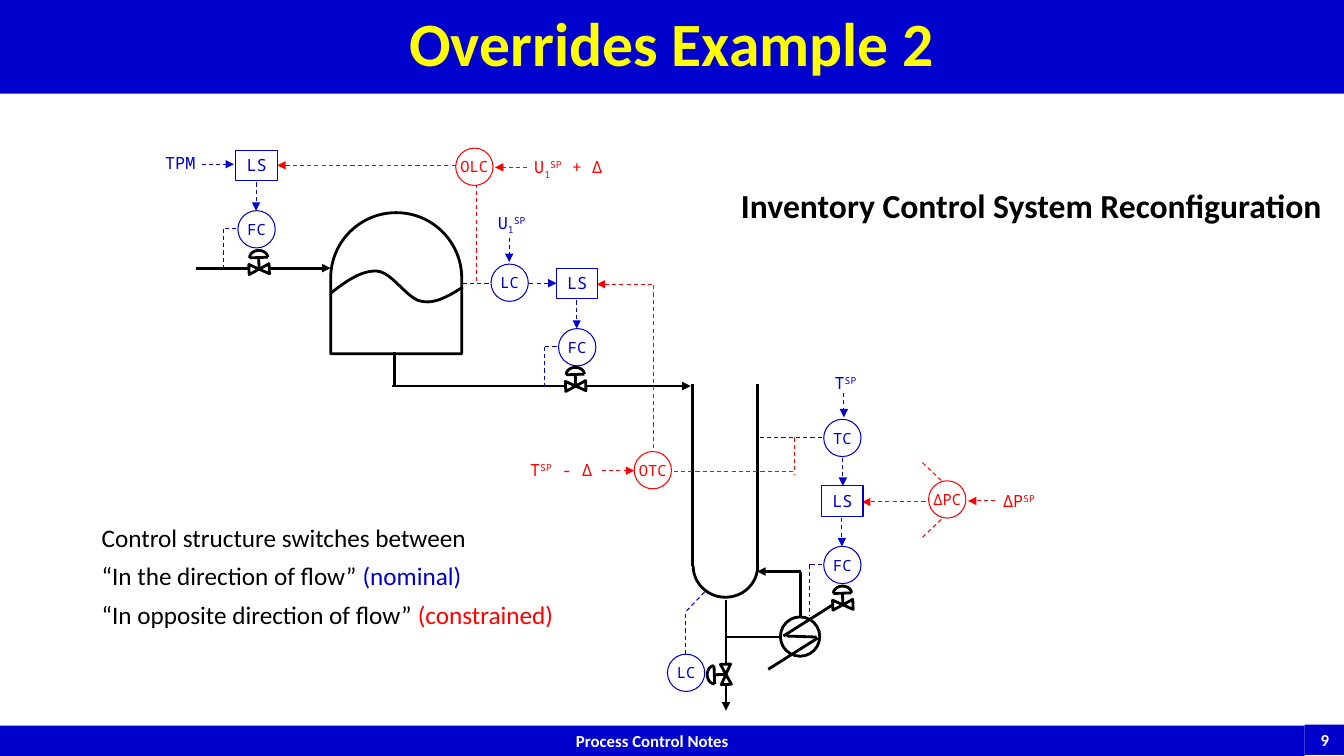
import dataclasses
import math

import lxml.etree
import pptx
import pptx.dml.color
import pptx.enum.dml
import pptx.enum.shapes
import pptx.enum.text
import pptx.oxml.ns
import pptx.util

Inches = pptx.util.Inches
RGBColor = pptx.dml.color.RGBColor
Shape = pptx.enum.shapes.MSO_SHAPE
Align = pptx.enum.text.PP_ALIGN
Anchor = pptx.enum.text.MSO_ANCHOR


@dataclasses.dataclass(frozen=True)
class Theme:
    """Colours, fonts and sizes of the slide."""
    nominal: RGBColor = RGBColor(0x00, 0x00, 0xCC)
    constrained: RGBColor = RGBColor(0xFF, 0x00, 0x00)
    process: RGBColor = RGBColor(0x00, 0x00, 0x00)
    title: RGBColor = RGBColor(0xFF, 0xFF, 0x00)
    white: RGBColor = RGBColor(0xFF, 0xFF, 0xFF)
    text_font: str = "Calibri"
    tag_font: str = "Noto Sans Mono"
    title_size: int = 44
    heading_size: int = 24
    body_size: int = 18
    label_size: int = 12
    bubble_size: int = 11
    pipe_width: float = 2
    signal_width: float = 0.75


theme = Theme()
presentation = pptx.Presentation()
presentation.slide_width = Inches(13.33)
presentation.slide_height = Inches(7.5)
slide = presentation.slides.add_slide(presentation.slide_layouts[5])
shapes = slide.shapes


def write_runs(paragraph, runs, size, font=theme.tag_font, bold=False):
    """Fill a paragraph with (text, colour, baseline percent) runs."""
    for text, color, baseline in runs:
        run = paragraph.add_run()
        run.text = text
        run.font.size = pptx.util.Pt(size)
        run.font.name = font
        run.font.bold = bold
        run.font.color.rgb = color
        if baseline:
            run._r.get_or_add_rPr().set("baseline", str(baseline * 1000))


def draw_line(x1, y1, x2, y2, color=theme.process, arrow=False):
    """Draw a solid pipe or, in a signal colour, a thin dashed line."""
    connector = shapes.add_connector(pptx.enum.shapes.MSO_CONNECTOR.STRAIGHT,
                                     *map(Inches, (x1, y1, x2, y2)))
    is_pipe = color == theme.process
    connector.line.color.rgb = color
    connector.line.width = pptx.util.Pt(theme.pipe_width if is_pipe else theme.signal_width)
    if not is_pipe:
        connector.line.dash_style = pptx.enum.dml.MSO_LINE.DASH
    properties = connector._element.spPr
    if arrow:
        outline = properties.find(pptx.oxml.ns.qn("a:ln"))
        lxml.etree.SubElement(outline, pptx.oxml.ns.qn("a:tailEnd"), type="triangle")
    lxml.etree.SubElement(properties, pptx.oxml.ns.qn("a:effectLst"))


# Title and footer bars
title = shapes.title
title.left, title.top, title.width, title.height = map(Inches, (0, 0, 13.33, 0.93))
footer = shapes.add_shape(Shape.RECTANGLE, *map(Inches, (0, 7.2, 12.94, 0.3)))
page_number = shapes.add_shape(Shape.RECTANGLE, *map(Inches, (12.94, 7.19, 0.4, 0.3)))
for bar, text, size, color in [
    (title, "Overrides Example 2", theme.title_size, theme.title),
    (footer, "Process Control Notes", theme.label_size, theme.white),
    (page_number, "9", theme.label_size, theme.white),
]:
    bar.fill.solid()
    bar.fill.fore_color.rgb = theme.nominal
    bar.line.fill.background()
    bar.text_frame.vertical_anchor = Anchor.MIDDLE
    paragraph = bar.text_frame.paragraphs[0]
    paragraph.alignment = Align.CENTER
    write_runs(paragraph, [(text, color, 0)], size, theme.text_font, True)
    if bar is not title:
        bar.shadow.inherit = False
title.text_frame.paragraphs[0].line_spacing = 0.9

# Vessel, column and reboiler
for kind, box, rotation, adjustments in [
    (Shape.LEFT_BRACKET, (7.04, 5.45, 0.31, 0.64), 270, [1.6]),
    (Shape.OVAL, (7.74, 6.12, 0.39, 0.39), 0, []),
    (Shape.ROUND_2_SAME_RECTANGLE, (3.28, 2.11, 1.3, 1.4), 0, [0.5, 0]),
]:
    vessel = shapes.add_shape(kind, *map(Inches, box))
    vessel.rotation = rotation
    for index, value in enumerate(adjustments):
        vessel.adjustments[index] = value
    vessel.fill.background()
    vessel.line.color.rgb = theme.process
    vessel.line.width = pptx.util.Pt(theme.pipe_width)
    vessel.shadow.inherit = False

for pipe in [
    (6.87, 5.62, 6.87, 3.81), (7.51, 5.62, 7.51, 3.81),
    (8.26, 6, 7.77, 6.31), (7.8, 6.31, 8.1, 6.32), (8.11, 6.33, 7.62, 6.64),
    (7.19, 6.32, 7.74, 6.32), (7.94, 6.12, 7.94, 5.67), (3.91, 3.83, 3.91, 3.49),
]:
    draw_line(*pipe)
for flow in [
    (7.2, 5.95, 7.2, 7.05), (7.94, 5.67, 7.51, 5.67),
    (3.89, 3.83, 6.85, 3.83), (1.94, 2.66, 3.28, 2.66),
]:
    draw_line(*flow, arrow=True)

# Liquid surface, sampled from three cubic arcs
curves = [[]]
for arc in [
    ((3.28, 2.91), (3.43, 2.79), (3.59, 2.68), (3.74, 2.69)),
    ((3.74, 2.69), (3.89, 2.7), (4.04, 2.97), (4.18, 2.99)),
    ((4.18, 2.99), (4.32, 3.02), (4.46, 2.93), (4.59, 2.85)),
]:
    for t in [step / 12 for step in range(13)]:
        weights = [math.comb(3, k) * t**k * (1 - t)**(3 - k) for k in range(4)]
        curves[0].append([sum(w * p[axis] for w, p in zip(weights, arc)) for axis in (0, 1)])

# Control valves: two triangles, a stem, a bar and a dome turned about the centre
dome = [(-0.09 * math.cos(math.pi * step / 16), -0.115 - 0.07 * math.sin(math.pi * step / 16))
        for step in range(17)]
for x, y, turn in [(8.36, 6, -2.2), (7.2, 6.69, -92.2), (5.71, 3.83, -2.2), (2.57, 2.67, -2.2)]:
    cosine, sine = math.cos(math.radians(turn)), math.sin(math.radians(turn))
    for offset, rotation in [(-0.05, 270), (0.05, 90)]:
        triangle = shapes.add_shape(
            Shape.FLOWCHART_MERGE, Inches(x + offset * cosine - 0.05),
            Inches(y + offset * sine - 0.05), Inches(0.1), Inches(0.1))
        triangle.rotation = (rotation + turn) % 360
        triangle.fill.solid()
        triangle.fill.fore_color.rgb = theme.white
        triangle.line.color.rgb = theme.process
        triangle.line.width = pptx.util.Pt(theme.pipe_width)
        triangle.shadow.inherit = False
    stem_and_bar = [(0, 0), (0, -0.115), (-0.09, -0.115), (0.09, -0.115)]
    points = [(x + a * cosine - b * sine, y + a * sine + b * cosine)
              for a, b in stem_and_bar + dome]
    draw_line(*points[0], *points[1])
    draw_line(*points[2], *points[3])
    curves.append(points[4:])

for curve in curves:
    vertices = [(Inches(x), Inches(y)) for x, y in curve]
    builder = shapes.build_freeform(*vertices[0])
    builder.add_line_segments(vertices[1:], close=False)
    outline = builder.convert_to_shape()
    outline.fill.background()
    outline.line.color.rgb = theme.process
    outline.line.width = pptx.util.Pt(theme.pipe_width)
    outline.shadow.inherit = False

# Signals and instruments; each low selector drives the flow controller below it
blue, red = theme.nominal, theme.constrained
signals = [
    (6.8, 6.49, 6.8, 6.06, blue, False), (6.81, 6.06, 7, 5.86, blue, False),
    (2, 1.63, 2.32, 1.63, blue, True), (5.25, 2.81, 5.52, 2.81, blue, True),
    (4.59, 2.81, 4.87, 2.81, blue, False), (5.05, 2.36, 5.05, 2.6, blue, True),
    (8.15, 4.34, 7.52, 4.34, blue, False), (8.37, 3.9, 8.37, 4.14, blue, True),
    (8.36, 4.54, 8.36, 4.82, blue, True),
    (4.73, 1.82, 4.73, 2.81, red, False), (4.52, 1.64, 2.75, 1.64, red, True),
    (5.23, 1.66, 4.91, 1.66, red, True), (5.97, 4.67, 6.29, 4.67, red, True),
    (7.87, 4.68, 6.65, 4.68, red, False), (7.88, 4.34, 7.88, 4.7, red, False),
    (6.48, 2.83, 6.48, 4.48, red, False), (6.47, 2.82, 5.92, 2.82, red, True),
    (9.15, 5.33, 9.35, 5.14, red, False), (9.15, 4.59, 9.35, 4.78, red, False),
    (9.18, 4.98, 8.55, 4.98, red, True), (9.87, 4.97, 9.6, 4.97, red, True),
]
instruments = [
    ("LC", 6.62, 6.49, blue), ("LC", 4.87, 2.62, blue), ("TC", 8.17, 4.16, blue),
    ("OLC", 4.52, 1.47, red), ("OTC", 6.29, 4.48, red), ("ΔPC", 9.21, 4.77, red),
]
for x, y, pipe_y in [(2.34, 1.49, 2.67), (5.52, 2.66, 3.82), (8.15, 4.82, 6.11)]:
    signals += [(x + 0.2, y + 0.32, x + 0.2, y + 0.6, blue, True),
                (x, y + 0.78, x - 0.12, y + 0.78, blue, False),
                (x - 0.12, y + 0.78, x - 0.12, pipe_y, blue, False)]
    instruments += [("LS", x, y, blue), ("FC", x + 0.02, y + 0.6, blue)]
for signal in signals:
    draw_line(*signal)
for tag, x, y, color in instruments:
    is_selector = tag == "LS"
    kind, width, height = (Shape.RECTANGLE, 0.41, 0.3) if is_selector else (Shape.OVAL, 0.37, 0.37)
    instrument = shapes.add_shape(kind, *map(Inches, (x, y, width, height)))
    instrument.fill.solid()
    instrument.fill.fore_color.rgb = theme.white
    instrument.line.color.rgb = color
    instrument.line.width = pptx.util.Pt(theme.signal_width)
    instrument.shadow.inherit = False
    frame = instrument.text_frame
    frame.margin_left = frame.margin_right = frame.margin_top = frame.margin_bottom = 0
    frame.word_wrap = False
    frame.vertical_anchor = Anchor.MIDDLE
    frame.paragraphs[0].alignment = Align.CENTER
    write_runs(frame.paragraphs[0], [(tag, color, 0)],
               theme.label_size if is_selector else theme.bubble_size)

# Set point labels
for x, y, width, color, parts in [
    (1.54, 1.47, 0.53, blue, [("TPM", 0)]),
    (4.84, 2.06, 0.53, blue, [("U", 0), ("1", -25), ("SP", 30)]),
    (5.2, 1.51, 0.94, red, [("U", 0), ("1", -25), ("SP", 30), (" + Δ", 0)]),
    (8.18, 3.65, 0.53, blue, [("T", 0), ("SP", 30)]),
    (5.16, 4.51, 0.94, red, [("T", 0), ("SP", 30), (" - Δ", 0)]),
    (9.85, 4.82, 0.59, red, [("ΔP", 0), ("SP", 30)]),
]:
    label = shapes.add_textbox(*map(Inches, (x, y, width, 0.3)))
    write_runs(label.text_frame.paragraphs[0],
               [(text, color, baseline) for text, baseline in parts], theme.label_size)

# Heading and explanation
heading = shapes.add_textbox(*map(Inches, (7.25, 1.79, 6.08, 0.5)))
write_runs(heading.text_frame.paragraphs[0],
           [("Inventory Control System Reconfiguration", theme.process, 0)],
           theme.heading_size, theme.text_font, True)
explanation = shapes.add_textbox(*map(Inches, (0.91, 5.13, 4.73, 1.18))).text_frame
for index, runs in enumerate([
    [("Control structure switches between", theme.process, 0)],
    [("“In the direction of flow” ", theme.process, 0), ("(nominal)", blue, 0)],
    [("“In opposite direction of flow” ", theme.process, 0), ("(constrained)", red, 0)],
]):
    paragraph = explanation.add_paragraph() if index else explanation.paragraphs[0]
    paragraph.space_after = pptx.util.Pt(6)
    write_runs(paragraph, runs, theme.body_size, theme.text_font)

presentation.save("out.pptx")
